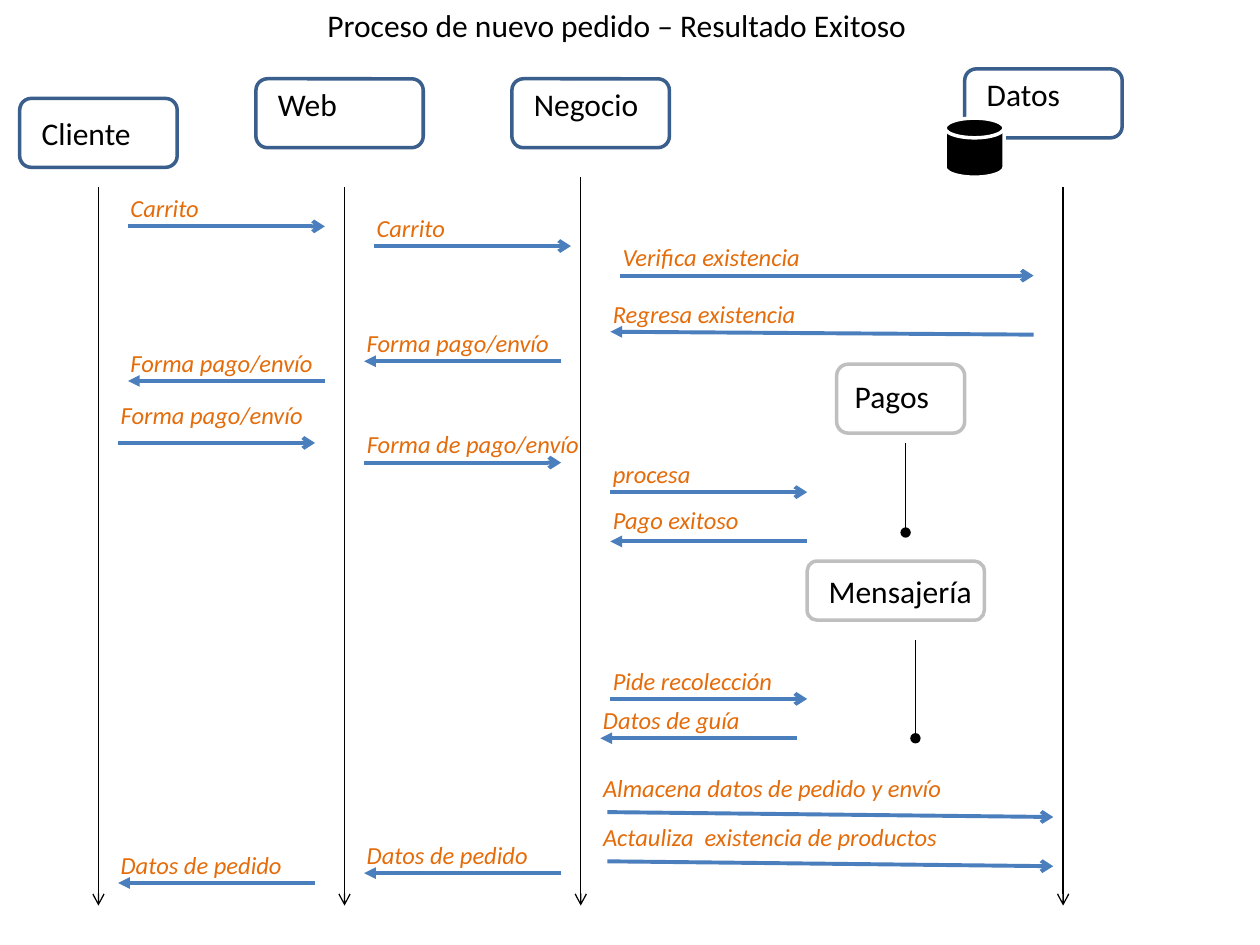
"""Sequence diagram of a successful new order."""
from dataclasses import dataclass

from lxml import etree
from pptx import Presentation
from pptx import util as u
from pptx.dml.color import RGBColor
from pptx.enum import shapes, text
from pptx.oxml.ns import qn


@dataclass(frozen=True)
class Theme:
    """Colours, type sizes and line widths."""
    font: str = "Calibri"
    ink: str = "000000"
    paper: str = "FFFFFF"
    note: str = "E46C0A"
    call: str = "4B7EBC"
    core: str = "3A5F8C"
    outer: str = "BFBFBF"
    head: int = 18
    small: int = 14
    thin: float = 0.75
    edge: float = 2
    bold: float = 2.25


T = Theme()
WIDE, HIGH = 10, 7.5
COLS, ROWS = 128, 96
UNIT = WIDE / COLS

# name, column, row, width, height, text shift across and down, line colour
NODES = [
    ("Cliente", 2, 10, 16, 7, 1, 1, T.core),
    ("Web", 26, 8, 17, 7, 1, 0, T.core),
    ("Negocio", 52, 8, 16, 7, 1, 0, T.core),
    ("Datos", 98, 7, 16, 7, 1, 0, T.core),
    ("Pagos", 85, 37, 13, 7, 0.6, 0.75, T.outer),
    ("Mensajería", 82, 57, 18, 6, 1, 0.6, T.outer),
]

# column, first row, last row, end mark
LIVES = [
    (10, 19, 92, "arrow"),
    (35, 19, 92, "arrow"),
    (59, 18, 92, "arrow"),
    (108, 19, 92, "arrow"),
    (92, 45, 54.1, "oval"),
    (93, 65, 75, "oval"),
]

# label, left column, right column, left row, right row, reply, label rise, label width
CALLS = [
    ("Carrito", 13, 33, 23, 23, False, 4, 23),
    ("Carrito", 38, 58, 25, 25, False, 4, 23),
    ("Verifica existencia", 63, 105, 28, 28, False, 4, 23),
    ("Regresa existencia", 62, 105, 33.7, 34, True, 4, 23),
    ("Forma pago/envío", 37, 57, 36.7, 36.7, True, 4, 23),
    ("Forma pago/envío", 13, 33, 38.7, 38.7, True, 4, 23),
    ("Forma pago/envío", 12, 32, 45, 45, False, 5, 23),
    ("Forma de pago/envío", 37, 57, 47, 47, False, 4, 25),
    ("procesa", 62, 82, 50, 50, False, 4, 23),
    ("Pago exitoso", 62, 82, 55, 55, True, 4.3, 23),
    ("Pide recolección", 62, 82, 71, 71, False, 4, 23),
    ("Datos de guía", 61, 81, 75, 75, True, 4, 23),
    ("Almacena datos de pedido y envío", 61.7, 107, 82.5, 83, False, 4.6, 39),
    ("Actauliza  existencia de productos", 61.7, 107, 87.5, 88, False, 4.6, 39),
    ("Datos de pedido", 37, 57, 88.7, 88.7, True, 4, 23),
    ("Datos de pedido", 12, 32, 89.7, 89.7, True, 4, 23),
]


def grid(*cells):
    """Turn grid counts into lengths."""
    return [u.Inches(n * UNIT) for n in cells]


def put(item, **values):
    """Set attributes from named values."""
    for name, value in values.items():
        setattr(item, name, value)


def write(frame, words, size, tint, slant=False, **format):
    """Fill a text frame with one styled paragraph."""
    put(frame, **{"word_wrap": True, "vertical_anchor": text.MSO_ANCHOR.TOP, **format})
    para = frame.paragraphs[0]
    para.text = words
    para.alignment = text.PP_ALIGN.LEFT
    put(para.font, name=T.font, size=u.Pt(size), italic=slant)
    para.font.color.rgb = RGBColor.from_string(tint)


def label(slide, words, place, size, tint, slant=False, **format):
    """Add a text box on the grid."""
    box = slide.shapes.add_textbox(*grid(*place))
    write(box.text_frame, words, size, tint, slant, **format)


def shape(slide, kind, place, tint, fill=None):
    """Add an outlined preset shape on the grid."""
    item = slide.shapes.add_shape(kind, *grid(*place))
    item.shadow.inherit = False
    if fill:
        item.fill.solid()
        item.fill.fore_color.rgb = RGBColor.from_string(fill)
    else:
        item.fill.background()
    item.line.color.rgb = RGBColor.from_string(tint)
    item.line.width = u.Pt(T.edge)
    return item


def node(slide, name, col, row, wide, high, across, down, tint):
    """Add a named participant box."""
    box = shape(slide, shapes.MSO_SHAPE.ROUNDED_RECTANGLE, (col, row, wide, high), tint)
    write(box.text_frame, name, T.head, T.ink,
          margin_left=u.Inches(across * UNIT + 0.07),
          margin_top=u.Inches(down * UNIT + 0.02),
          margin_right=0, margin_bottom=0)


def line(slide, ends, tint, width, end, mark):
    """Add a straight line with a mark at its head or tail."""
    item = slide.shapes.add_connector(shapes.MSO_CONNECTOR.STRAIGHT, *grid(*ends))
    item.line.color.rgb = RGBColor.from_string(tint)
    item.line.width = u.Pt(width)
    props = item._element.spPr
    etree.SubElement(props.find(qn("a:ln")), qn(f"a:{end}End"), type=mark)
    etree.SubElement(props, qn("a:effectLst"))


def call(slide, words, left, right, start, stop, reply, rise, wide):
    """Add a message arrow and its label."""
    end, mark = ("head", "triangle") if reply else ("tail", "arrow")
    line(slide, (left, start, right, stop), T.call, T.bold, end, mark)
    label(slide, words, (int(left - 1), start - rise, wide, 4.3), T.small, T.note, True)


def main():
    """Build and save the slide."""
    deck = Presentation()
    put(deck, slide_width=u.Inches(WIDE), slide_height=u.Inches(HIGH))
    slide = deck.slides.add_slide(deck.slide_layouts[6])
    label(slide, "Proceso de nuevo pedido – Resultado Exitoso", (32, 0, 62, 5),
          T.head, T.ink, word_wrap=False)
    for row in NODES:
        node(slide, *row)
    shape(slide, shapes.MSO_SHAPE.FLOWCHART_MAGNETIC_DISK, (96, 12, 6, 6), T.paper, T.ink)
    for col, top, base, mark in LIVES:
        line(slide, (col, top, col, base), T.ink, T.thin, "tail", mark)
    for row in CALLS:
        call(slide, *row)
    deck.save("out.pptx")


if __name__ == "__main__":
    main()
